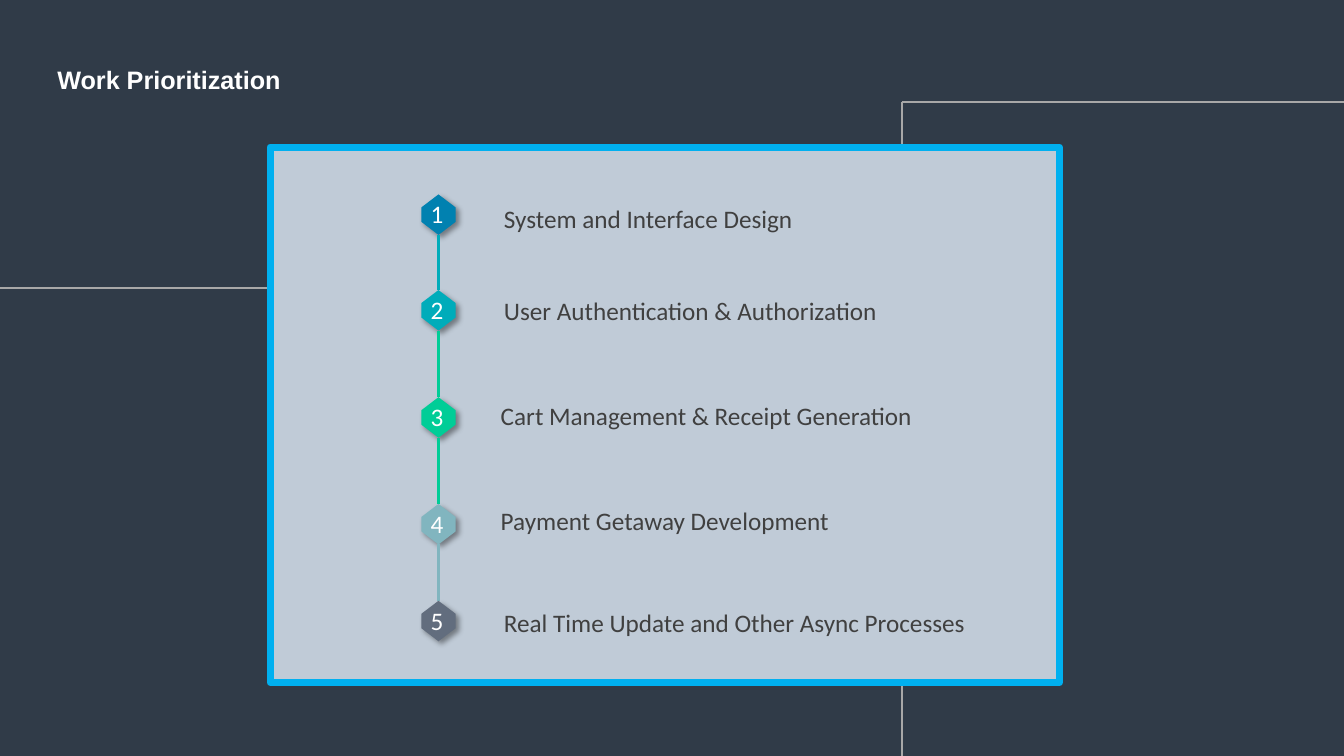
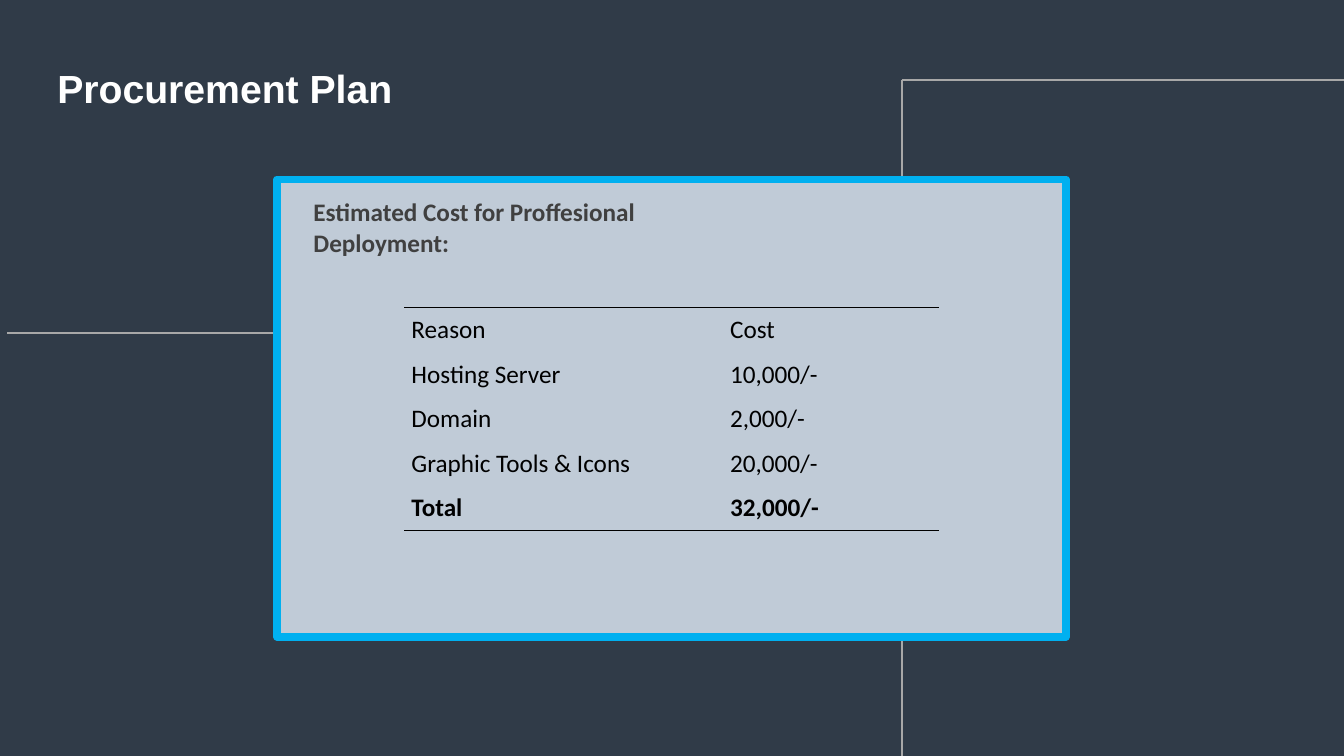
from lxml import etree
from pptx import Presentation
from pptx.dml.color import RGBColor
from pptx.enum.shapes import MSO_CONNECTOR, MSO_SHAPE
from pptx.enum.text import MSO_ANCHOR, MSO_AUTO_SIZE, PP_ALIGN
from pptx.oxml import parse_xml
from pptx.oxml.ns import nsdecls, qn
from pptx.util import Cm, Pt

STRAIGHT = MSO_CONNECTOR.STRAIGHT
RECTANGLE = MSO_SHAPE.RECTANGLE
HEXAGON = MSO_SHAPE.HEXAGON
TOP = MSO_ANCHOR.TOP
NO_AUTOFIT = MSO_AUTO_SIZE.NONE
LEFT = PP_ALIGN.LEFT
JUSTIFY = PP_ALIGN.JUSTIFY

NAVY = RGBColor(0x30, 0x3B, 0x48)
GREY = RGBColor(0xA8, 0xA8, 0xA8)
PALE = RGBColor(0xC0, 0xCB, 0xD7)
SKY = RGBColor(0x00, 0xB0, 0xF0)
WHITE = RGBColor(0xFF, 0xFF, 0xFF)
BLACK = RGBColor(0x00, 0x00, 0x00)
CHARCOAL = RGBColor(0x40, 0x40, 0x40)
BLUE = RGBColor(0x01, 0x81, 0xB0)
TEAL = RGBColor(0x00, 0xAC, 0xBA)
GREEN = RGBColor(0x00, 0xCD, 0x97)
MIST = RGBColor(0x81, 0xB5, 0xBF)
SLATE = RGBColor(0x62, 0x6D, 0x7E)

SLIDE_W, SLIDE_H = 33.87, 19.05
RULE_X = 22.73
PANEL_W = 19.89
NO_STYLE = "{2D5ABB26-0587-4C30-8999-92F81FD0307C}"


def add_line(slide, x1, y1, x2, y2, color, width):
    line = slide.shapes.add_connector(STRAIGHT, Cm(x1), Cm(y1), Cm(x2), Cm(y2))
    line.line.color.rgb = color
    line.line.width = Pt(width)
    etree.SubElement(line._element.spPr, qn("a:effectLst"))


def write_text(frame, text, color, size=18, font="Calibri", bold=False, align=LEFT):
    frame.word_wrap = True
    paragraph = frame.paragraphs[0]
    paragraph.alignment = align
    run = paragraph.add_run()
    run.text = text
    run.font.color.rgb = color
    for name, value in {"size": Pt(size), "name": font, "bold": bold}.items():
        setattr(run.font, name, value)


prs = Presentation()
prs.slide_width, prs.slide_height = Cm(SLIDE_W), Cm(SLIDE_H)
background = prs.slide_master.background.fill
background.solid()
background.fore_color.rgb = NAVY

pages = [
    {"title": "Work Prioritization", "size": 18, "title_h": 1.02, "corner_y": 2.58,
     "side": (0, 7.26), "panel": (6.81, 3.71, 13.49)},
    {"title": "Procurement Plan", "size": 28, "title_h": 1.45, "corner_y": 2.01,
     "side": (0.18, 8.38), "panel": (6.98, 4.52, 11.53)},
]
slides = []
for page in pages:
    slide = prs.slides.add_slide(prs.slide_layouts[5])
    slides.append(slide)
    title = slide.shapes.title
    title_box = {"left": 1.19, "top": 1.5, "width": 10.72, "height": page["title_h"]}
    for name, value in title_box.items():
        setattr(title, name, Cm(value))
    title.text_frame.vertical_anchor = TOP
    title.text_frame.auto_size = NO_AUTOFIT
    write_text(title.text_frame, page["title"], WHITE, page["size"], "Arial", True)

    corner_y = page["corner_y"]
    side_x, side_y = page["side"]
    panel_x, panel_y, panel_h = page["panel"]
    add_line(slide, RULE_X, corner_y, RULE_X, SLIDE_H, GREY, 1.25)
    add_line(slide, RULE_X, corner_y, SLIDE_W, corner_y, GREY, 1.5)
    add_line(slide, side_x, side_y, panel_x, side_y, GREY, 1.5)
    panel = slide.shapes.add_shape(RECTANGLE, Cm(panel_x), Cm(panel_y), Cm(PANEL_W), Cm(panel_h))
    panel.shadow.inherit = False
    panel.fill.solid()
    panel.fill.fore_color.rgb = PALE
    panel.line.color.rgb = SKY
    panel.line.width = Pt(5.25)

work, procurement = slides

HEX_X, HEX_W, HEX_H = 11.05, 1.02, 0.86
TEXT_H = 1.02
steps = [
    ("System and Interface Design", 5.41, 12.45, 5.0, BLUE, TEAL),
    ("User Authentication & Authorization", 7.82, 12.45, 7.32, TEAL, GREEN),
    ("Cart Management & Receipt Generation", 10.52, 12.37, 9.96, GREEN, GREEN),
    ("Payment Getaway Development", 13.21, 12.37, 12.6, MIST, MIST),
    ("Real Time Update and Other Async Processes", 15.65, 12.45, 15.19, SLATE, None),
]
for number, (label, center_y, label_x, label_y, color, link_color) in enumerate(steps, 1):
    marker = work.shapes.add_shape(HEXAGON, Cm(HEX_X - HEX_W / 2), Cm(center_y - HEX_H / 2),
                                   Cm(HEX_W), Cm(HEX_H))
    marker.rotation = 90
    marker.adjustments[0] = 0.29
    marker.adjustments[0] = 0.38
    marker.fill.solid()
    marker.fill.fore_color.rgb = color
    marker.line.fill.background()
    marker.shadow.inherit = False
    marker._element.spPr.find(qn("a:effectLst")).append(parse_xml(
        f'<a:outerShdw {nsdecls("a")} blurRad="50800" dist="38100" dir="2700000" rotWithShape="0">'
        '<a:srgbClr val="000000"><a:alpha val="40000"/></a:srgbClr></a:outerShdw>'))
    if link_color:
        next_y = steps[number][1]
        add_line(work, HEX_X, center_y + HEX_W / 2, HEX_X, next_y - HEX_W / 2, link_color, 1.5)
    for text, x, y, width, text_color in (
        (str(number), 10.6, center_y - 0.53, 2.39, WHITE),
        (label, label_x, label_y, 12.2, CHARCOAL),
    ):
        box = work.shapes.add_textbox(Cm(x), Cm(y), Cm(width), Cm(TEXT_H))
        write_text(box.text_frame, text, text_color)

heading = procurement.shapes.add_textbox(Cm(7.65), Cm(4.83), Cm(8.89), Cm(1.8))
write_text(heading.text_frame, "Estimated Cost for Proffesional Deployment:", CHARCOAL, bold=True)

costs = [
    ("Reason", "Cost"),
    ("Hosting Server", "10,000/-"),
    ("Domain", "2,000/-"),
    ("Graphic Tools & Icons", "20,000/-"),
    ("Total", "32,000/-"),
]
COLUMN_WIDTHS = (8.03, 5.44)
ROW_H = 1.11
last = len(costs) - 1
table = procurement.shapes.add_table(len(costs), 2, Cm(10.19), Cm(7.75),
                                     Cm(sum(COLUMN_WIDTHS)), Cm(ROW_H * len(costs))).table
table.first_row = False
table.horz_banding = False
table._tbl.tblPr.find(qn("a:tableStyleId")).text = NO_STYLE
for column, width in zip(table.columns, COLUMN_WIDTHS):
    column.width = Cm(width)
for r, row in enumerate(costs):
    table.rows[r].height = Cm(ROW_H)
    for c, text in enumerate(row):
        cell = table.cell(r, c)
        cell.fill.background()
        for side in ("left", "top", "right", "bottom"):
            setattr(cell, f"margin_{side}", Cm(0.18))
        write_text(cell.text_frame, text, BLACK, bold=r == last, align=JUSTIFY)
        edge = {0: "lnT", last: "lnB"}.get(r)
        if edge:
            cell._tc.get_or_add_tcPr().insert(0, parse_xml(
                f'<a:{edge} {nsdecls("a")} w="12700"><a:solidFill>'
                f'<a:srgbClr val="{BLACK}"/></a:solidFill></a:{edge}>'))

prs.save("out.pptx")
